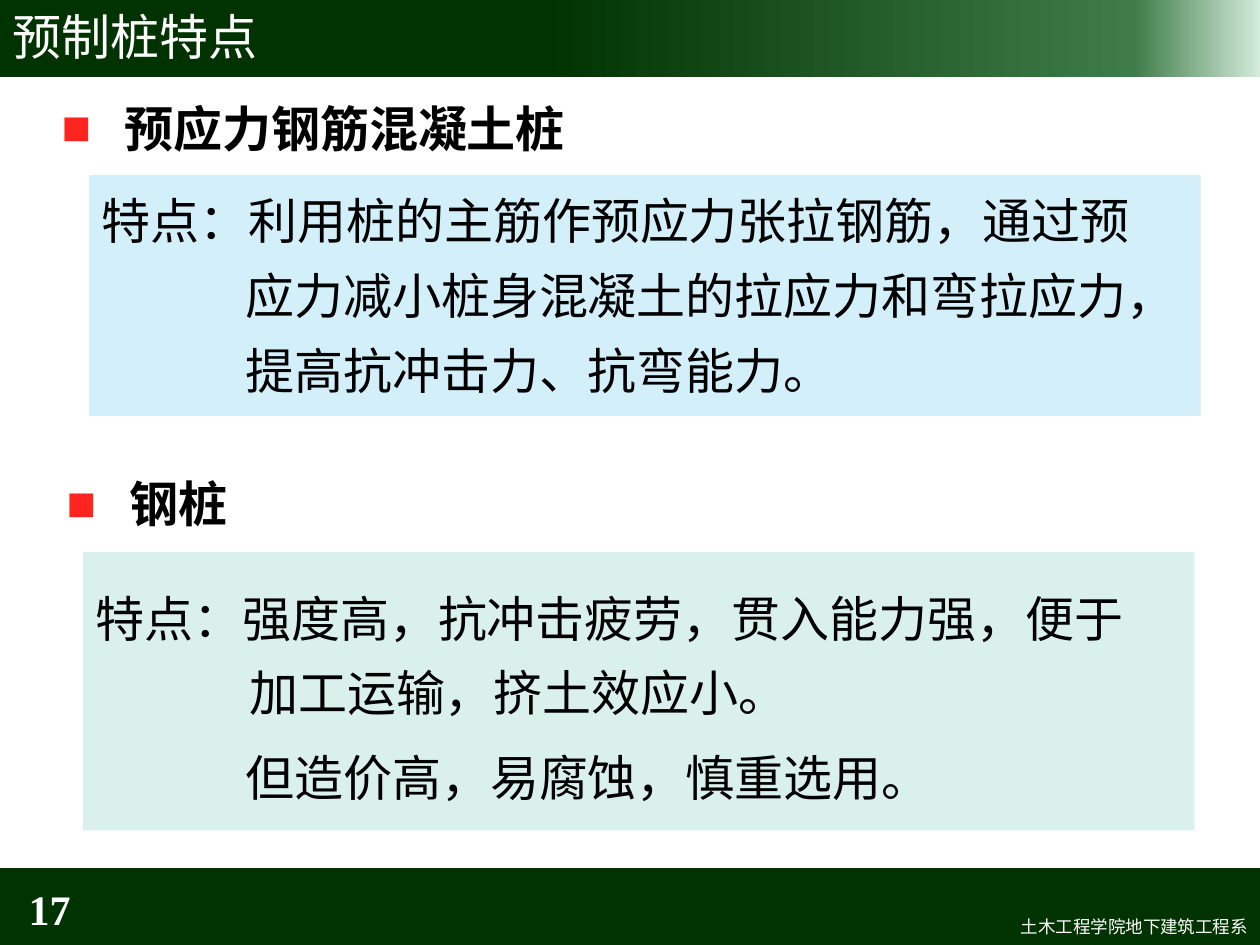
from lxml import etree
from pptx import Presentation
from pptx.dml.color import RGBColor
from pptx.enum.shapes import MSO_SHAPE
from pptx.enum.text import MSO_ANCHOR, MSO_AUTO_SIZE, PP_ALIGN
from pptx.oxml.ns import qn
from pptx.util import Inches, Pt

RECT = MSO_SHAPE.RECTANGLE
MIDDLE, TOP = MSO_ANCHOR.MIDDLE, MSO_ANCHOR.TOP
LEFT, RIGHT = PP_ALIGN.LEFT, PP_ALIGN.RIGHT
NO_FIT = MSO_AUTO_SIZE.NONE

DARK = RGBColor(0x00, 0x33, 0x00)
GREEN = RGBColor(0x3F, 0x7C, 0x49)
PALE = RGBColor(0xD4, 0xEB, 0xDB)
MINT = RGBColor(0xD9, 0xF1, 0xEA)
SKY = RGBColor(0xD2, 0xEF, 0xFA)
RED = RGBColor(0xFE, 0x25, 0x20)
BLACK = RGBColor(0, 0, 0)
WHITE = RGBColor(255, 255, 255)

HAN = "Noto Sans CJK SC"
BODY = {"size": Pt(28), "name": "Arial", "bold": False}
HEAD = {**BODY, "bold": True}
TITLE = {**BODY, "name": HAN}
NOTE = {**TITLE, "size": Pt(10)}
PAGE = {"size": Pt(24), "name": "Times New Roman", "bold": True}

# Text, left, top, width, line spacing
LINES = [
    ("特点：利用桩的主筋作预应力张拉钢筋，通过预", 0.71, 1.46, 8.43, 1),
    ("应力减小桩身混凝土的拉应力和弯拉应力，", 1.85, 2.03, 7.66, 1.1),
    ("提高抗冲击力、抗弯能力。", 1.85, 2.63, 4.91, 1.1),
    ("特点：强度高，抗冲击疲劳，贯入能力强，便于", 0.66, 4.62, 8.45, 1),
    ("加工运输，挤土效应小。", 1.88, 5.21, 4.52, 1),
    ("但造价高，易腐蚀，慎重选用。", 1.85, 5.88, 5.7, 1),
]


def place(shape, box):
    for key, val in zip(("left", "top", "width", "height"), box):
        setattr(shape, key, Inches(val))


def add_panel(slide, box, color):
    panel = slide.shapes.add_shape(RECT, *map(Inches, box))
    panel.shadow.inherit = False
    panel.fill.solid()
    panel.fill.fore_color.rgb = color
    panel.line.fill.background()
    return panel


def fade(shape, stops):
    """Fill the shape from left to right with (percent, color) stops."""
    shape.fill.gradient()
    shape.fill.gradient_angle = 0
    items = shape._element.spPr.find(qn("a:gradFill")).find(qn("a:gsLst"))
    for old in list(items):
        items.remove(old)
    for pct, color in stops:
        stop = etree.SubElement(items, qn("a:gs"), pos=str(pct * 1000))
        etree.SubElement(stop, qn("a:srgbClr"), val=str(color))


def set_text(shape, text, style, color, align=LEFT, anchor=MIDDLE):
    frame = shape.text_frame
    frame.word_wrap = True
    frame.auto_size = NO_FIT
    frame.vertical_anchor = anchor
    para = frame.paragraphs[0]
    para.alignment = align
    run = para.add_run()
    run.text = text
    for key, val in style.items():
        setattr(run.font, key, val)
    run.font.color.rgb = color
    etree.SubElement(run.font._element, qn("a:ea"), typeface=HAN)
    return para


def add_text(slide, text, box, style, color, **opts):
    shape = slide.shapes.add_textbox(*map(Inches, box))
    return set_text(shape, text, style, color, **opts)


def add_head(slide, text, box):
    """Add a bold heading with a red square bullet."""
    para = add_text(slide, text, box, HEAD, BLACK)
    props = para._p.get_or_add_pPr()
    props.set("marL", str(Inches(0.5)))
    props.set("indent", str(-Inches(0.5)))
    tint = etree.SubElement(props, qn("a:buClr"))
    etree.SubElement(tint, qn("a:srgbClr"), val=str(RED))
    etree.SubElement(props, qn("a:buFont"), typeface="Arial")
    etree.SubElement(props, qn("a:buChar"), char="■")


def add_title(slide, text, box):
    title = slide.shapes.title
    place(title, box)
    set_text(title, text, TITLE, WHITE)
    # Bring the title in front of its band
    slide.shapes._spTree.append(title._element)


def main():
    prs = Presentation()
    prs.slide_width, prs.slide_height = Inches(10), Inches(7.5)
    slide = prs.slides.add_slide(prs.slide_layouts[5])

    # Top and bottom bands
    band = add_panel(slide, (0, -0.03, 10, 0.64), DARK)
    fade(band, [(43, DARK), (90, GREEN), (100, PALE)])
    add_panel(slide, (0, 6.89, 10, 0.64), DARK)
    add_title(slide, "预制桩特点", (0, -0.03, 10, 0.63))

    # Panels, headings and their lines
    add_panel(slide, (0.66, 4.38, 8.82, 2.21), MINT)
    add_panel(slide, (0.71, 1.39, 8.82, 1.91), SKY)
    add_head(slide, "预应力钢筋混凝土桩", (0.39, 0.73, 4.24, 0.57))
    add_head(slide, "钢桩", (0.43, 3.71, 1.49, 0.57))
    for text, left, top, width, gap in LINES:
        para = add_text(slide, text, (left, top, width, 0.57), BODY, BLACK)
        para.line_spacing = gap

    # Footer
    add_text(slide, "土木工程学院地下建筑工程系", (4.21, 7.22, 5.79, 0.27),
             NOTE, WHITE, align=RIGHT, anchor=TOP)
    add_text(slide, "17", (0, 7.01, 0.66, 0.4), PAGE, WHITE, align=RIGHT)

    prs.save("out.pptx")


if __name__ == "__main__":
    main()
